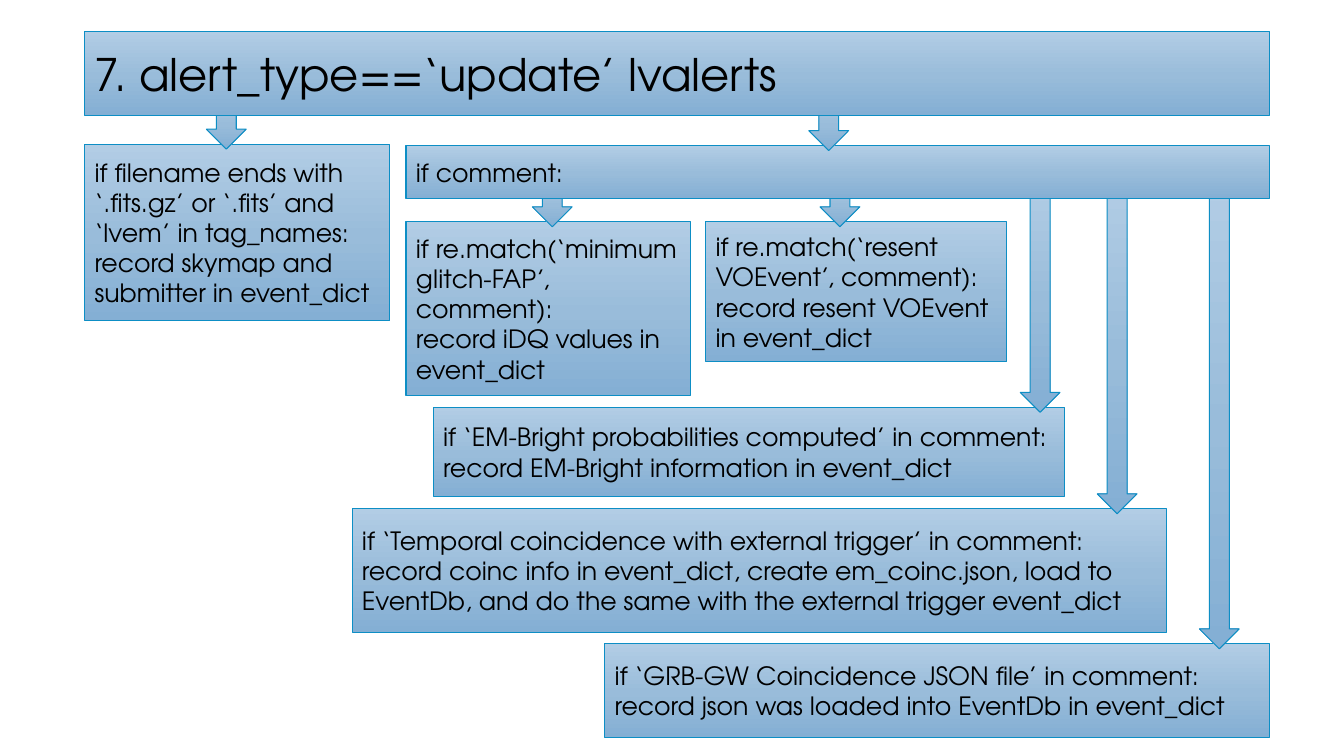
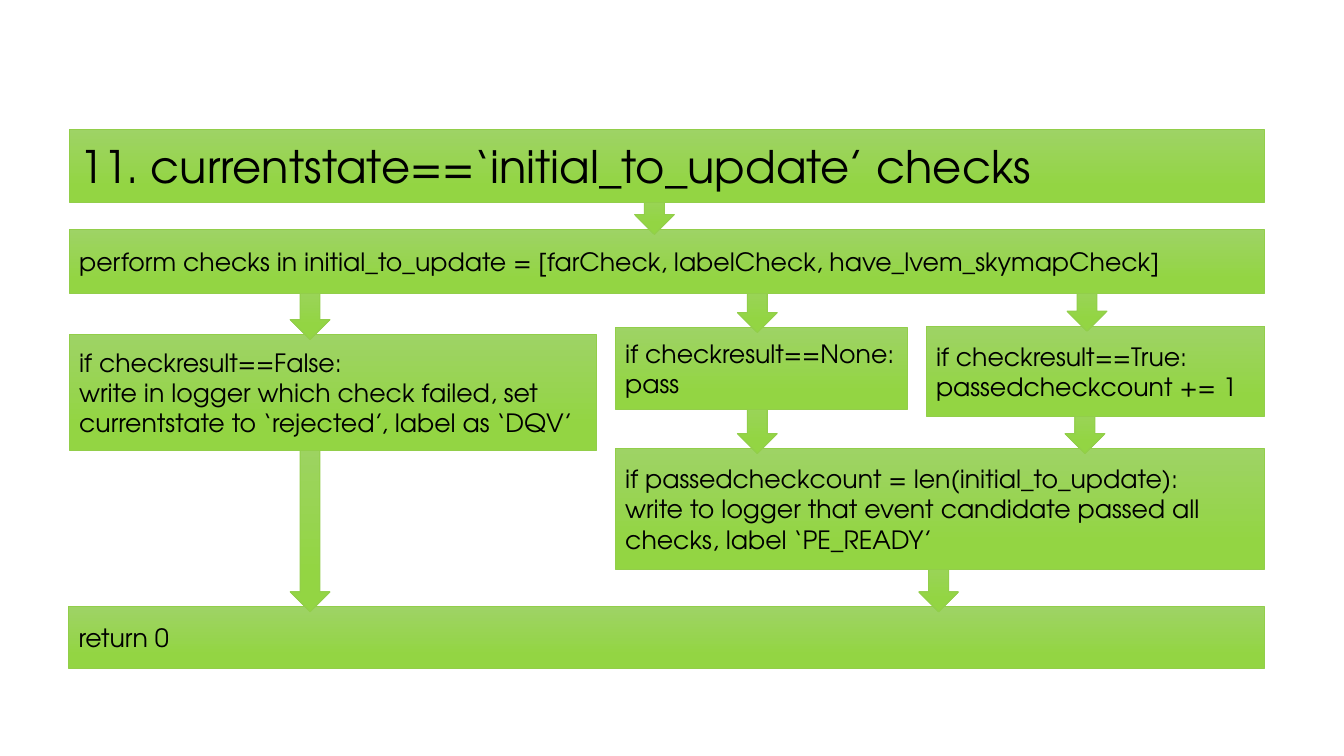
import dataclasses

import lxml.etree
import pptx
import pptx.dml.color
import pptx.enum.shapes
import pptx.enum.text
import pptx.oxml.ns
import pptx.util

Pt = pptx.util.Pt
RGBColor = pptx.dml.color.RGBColor
Preset = pptx.enum.shapes.MSO_SHAPE
qn = pptx.oxml.ns.qn

FONT = "TeX Gyre Adventor"
BLACK = RGBColor(0x00, 0x00, 0x00)
BLUE_LINE = RGBColor(0x0D, 0x8E, 0xC5)
BLUE_LIGHT = RGBColor(0xB2, 0xCD, 0xE5)
BLUE_MID = RGBColor(0x99, 0xBC, 0xDA)
BLUE_DEEP = RGBColor(0x84, 0xAF, 0xD4)
GREEN_LINE = RGBColor(0x92, 0xCE, 0x4A)
GREEN_LIGHT = RGBColor(0x9E, 0xD3, 0x65)
GREEN_DEEP = RGBColor(0x93, 0xD5, 0x43)

BLUE = (BLUE_LINE, [(0, BLUE_LIGHT), (52, BLUE_MID), (100, BLUE_DEEP)])
GREEN = (GREEN_LINE, [(0, GREEN_LIGHT), (78, GREEN_DEEP)])

TITLE_SIZE = 32
BODY_SIZE = 18
ARROW_WIDTH = 28.4
TAIL_OVERLAP = 13
TIP_OVERLAP = 3.5


@dataclasses.dataclass
class Step:
    left: float
    top: float
    width: float
    height: float
    lines: list
    entries: list = dataclasses.field(default_factory=list)
    size: int = BODY_SIZE


class FlowDeck:
    def __init__(self):
        self.deck = pptx.Presentation()
        self.deck.slide_width = Pt(960)
        self.deck.slide_height = Pt(540)

    def new_slide(self, palette):
        self.slide = self.deck.slides.add_slide(self.deck.slide_layouts[6])
        self.line_color, self.stops = palette

    def shape(self, preset, left, top, width, height):
        shape = self.slide.shapes.add_shape(
            preset, Pt(left), Pt(top), Pt(width), Pt(height))
        shape.shadow.inherit = False
        shape.line.color.rgb = self.line_color
        shape.line.width = Pt(0.75)
        shape.fill.gradient()
        shape.fill.gradient_angle = 270
        stop_list = shape.element.spPr.find(".//" + qn("a:gsLst"))
        for stop in list(stop_list):
            stop_list.remove(stop)
        for percent, color in self.stops:
            stop = lxml.etree.SubElement(stop_list, qn("a:gs"), pos=str(percent * 1000))
            lxml.etree.SubElement(stop, qn("a:srgbClr"), val=str(color))
        return shape

    def box(self, step):
        frame = self.shape(Preset.FLOWCHART_PROCESS, step.left, step.top,
                           step.width, step.height).text_frame
        frame.word_wrap = True
        frame.vertical_anchor = pptx.enum.text.MSO_ANCHOR.MIDDLE
        for index, line in enumerate(step.lines):
            paragraph = frame.add_paragraph() if index else frame.paragraphs[0]
            paragraph.alignment = pptx.enum.text.PP_ALIGN.LEFT
            run = paragraph.add_run()
            run.text = line
            run.font.name = FONT
            run.font.size = Pt(step.size)
            run.font.color.rgb = BLACK

    def arrow(self, source, target, center):
        top = source.top + source.height - TAIL_OVERLAP
        self.shape(Preset.DOWN_ARROW, center - ARROW_WIDTH / 2, top,
                   ARROW_WIDTH, target.top + TIP_OVERLAP - top)

    def flow(self, steps):
        for step in reversed(steps):
            self.box(step)
            for source, center in step.entries:
                self.arrow(source, step, center)


def update_alerts(deck):
    deck.new_slide(BLUE)
    title = Step(60.5, 22.5, 846, 60, ["7. alert_type==‘update’ lvalerts"], size=TITLE_SIZE)
    skymap = Step(60.5, 103, 218, 126, [
        "if filename ends with ‘.fits.gz’ or ‘.fits’ and ‘lvem’ in tag_names:",
        "record skymap and submitter in event_dict"], [(title, 161.7)])
    comment = Step(290, 104, 616.5, 38, ["if comment:"], [(title, 592)])
    glitch = Step(290, 158.5, 203, 124, [
        "if re.match(‘minimum glitch-FAP’, comment):",
        "record iDQ values in event_dict"], [(comment, 394.5)])
    resent = Step(504, 158.5, 215, 100, [
        "if re.match(‘resent VOEvent’, comment):",
        "record resent VOEvent in event_dict"], [(comment, 600)])
    em_bright = Step(309.5, 291, 451, 63.5, [
        "if ‘EM-Bright probabilities computed’ in comment:",
        "record EM-Bright information in event_dict"], [(comment, 743)])
    coincidence = Step(251.5, 363.5, 582, 88, [
        "if ‘Temporal coincidence with external trigger’ in comment:",
        "record coinc info in event_dict, create em_coinc.json, load to EventDb, "
        "and do the same with the external trigger event_dict"], [(comment, 798)])
    json_file = Step(432, 460, 474.5, 66.5, [
        "if ‘GRB-GW Coincidence JSON file’ in comment:",
        "record json was loaded into EventDb in event_dict"], [(comment, 871)])
    deck.flow([title, skymap, comment, glitch, resent, em_bright, coincidence, json_file])


def state_checks(deck):
    deck.new_slide(GREEN)
    title = Step(49.5, 92.5, 853.5, 52, ["11. currentstate==‘initial_to_update’ checks"],
                 size=TITLE_SIZE)
    perform = Step(49.5, 164, 853.5, 45.5, [
        "perform checks in initial_to_update = [farCheck, labelCheck, have_lvem_skymapCheck]"],
        [(title, 467.5)])
    failed = Step(49.5, 239, 376.5, 82.5, [
        "if checkresult==False:",
        "write in logger which check failed, set currentstate to ‘rejected’, label as ‘DQV’"],
        [(perform, 221.5)])
    undecided = Step(439.5, 234, 209, 58.5, ["if checkresult==None:", "pass"],
                     [(perform, 541)])
    passed = Step(661.5, 233, 242, 64.5, ["if checkresult==True:", "passedcheckcount += 1"],
                  [(perform, 776.5)])
    all_passed = Step(439.5, 320.5, 463.5, 86, [
        "if passedcheckcount = len(initial_to_update):",
        "write to logger that event candidate passed all checks, label ‘PE_READY’"],
        [(undecided, 541), (passed, 775)])
    finish = Step(49, 433.5, 854, 44, ["return 0"], [(failed, 221.5), (all_passed, 670.5)])
    deck.flow([title, perform, failed, undecided, passed, all_passed, finish])


def main():
    deck = FlowDeck()
    update_alerts(deck)
    state_checks(deck)
    deck.deck.save("out.pptx")


if __name__ == "__main__":
    main()
